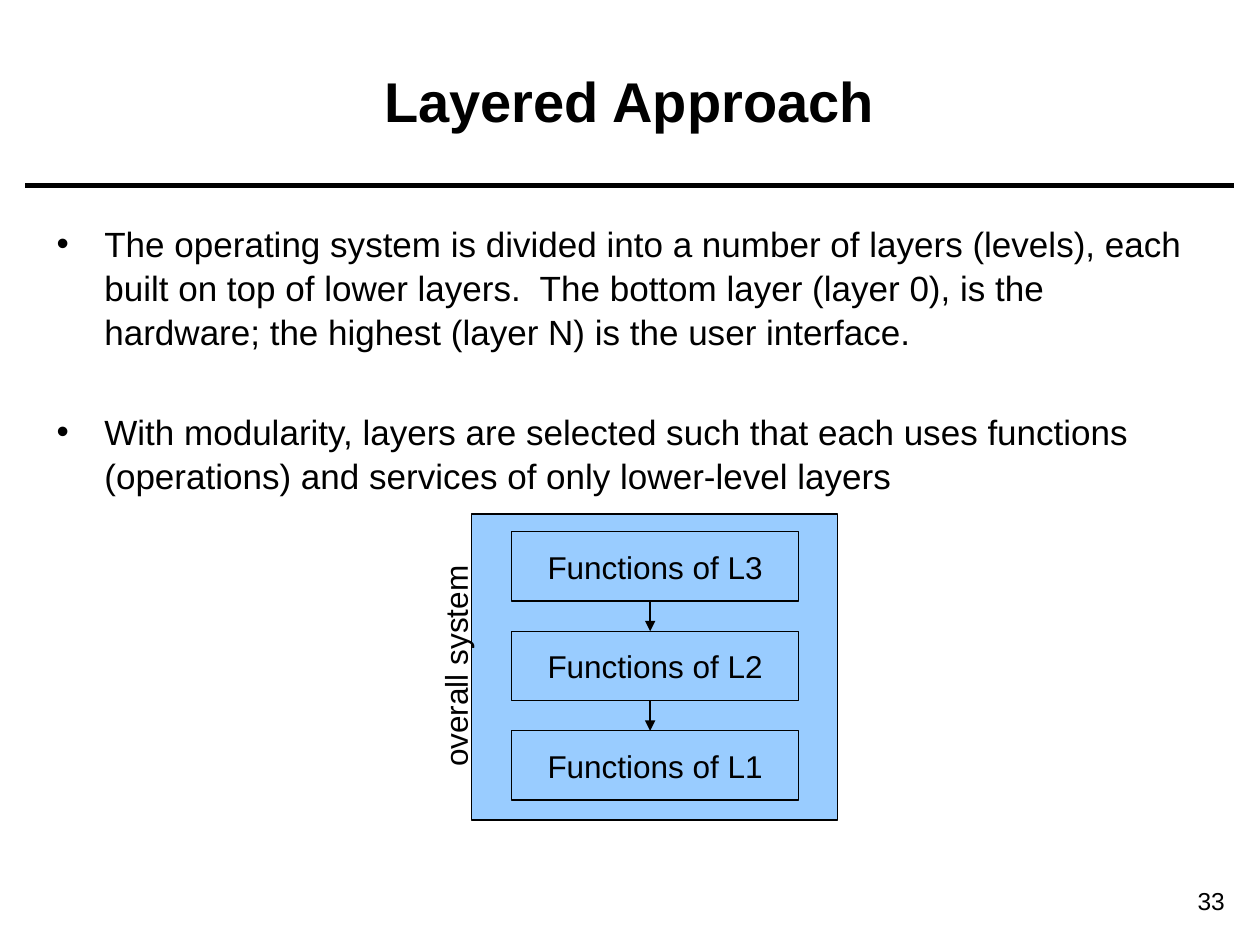
from lxml.etree import SubElement
from pptx import Presentation
from pptx.dml.color import RGBColor
from pptx.enum.shapes import MSO_CONNECTOR, MSO_SHAPE
from pptx.enum.text import MSO_ANCHOR, PP_ALIGN
from pptx.oxml.ns import qn
from pptx.util import Inches, Pt

BLACK = RGBColor(0x00, 0x00, 0x00)
WHITE = RGBColor(0xFF, 0xFF, 0xFF)
LAYER_BLUE = RGBColor(0x99, 0xCC, 0xFF)

BULLETS = [
    "The operating system is divided into a number of layers (levels), each built on top of "
    "lower layers.  The bottom layer (layer 0), is the hardware; the highest (layer N) is the "
    "user interface.",
    "With modularity, layers are selected such that each uses functions (operations) and "
    "services of only lower-level layers",
]
LAYERS = ["Functions of L3", "Functions of L2", "Functions of L1"]


def format_paragraph(paragraph, size, alignment=PP_ALIGN.LEFT, bold=False):
    paragraph.alignment = alignment
    paragraph.font.name = "Arial"
    paragraph.font.size = Pt(size)
    paragraph.font.bold = bold
    paragraph.font.color.rgb = BLACK


def add_text(slide, left, top, width, height, text, size, alignment=PP_ALIGN.LEFT, bold=False):
    shape = slide.shapes.add_textbox(Inches(left), Inches(top), Inches(width), Inches(height))
    shape.text_frame.word_wrap = True
    shape.text_frame.text = text
    format_paragraph(shape.text_frame.paragraphs[0], size, alignment, bold)
    return shape


def add_box(slide, left, top, width, height):
    shape = slide.shapes.add_shape(
        MSO_SHAPE.RECTANGLE, Inches(left), Inches(top), Inches(width), Inches(height))
    shape.shadow.inherit = False
    shape.fill.solid()
    shape.fill.fore_color.rgb = LAYER_BLUE
    shape.line.color.rgb = BLACK
    shape.line.width = Pt(0.75)
    return shape


def add_line(slide, start_x, start_y, end_x, end_y, width, arrow=False):
    connector = slide.shapes.add_connector(
        MSO_CONNECTOR.STRAIGHT, Inches(start_x), Inches(start_y), Inches(end_x), Inches(end_y))
    connector.line.color.rgb = BLACK
    connector.line.width = Pt(width)
    if arrow:
        SubElement(connector.line._get_or_add_ln(), qn("a:tailEnd"), type="triangle")
    SubElement(connector._element.spPr, qn("a:effectLst"))


def add_header(slide, left, top, width, height):
    title = add_text(slide, left, top, width, height, "Layered Approach", 32,
                     PP_ALIGN.CENTER, True)
    title.text_frame.vertical_anchor = MSO_ANCHOR.MIDDLE
    rule_y = top + height + 0.05
    add_line(slide, left - 0.15, rule_y, left + width + 0.15, rule_y, 3)


def add_bullets(slide, left, top, width, height):
    body = add_text(slide, left, top, width, height, "\n".join(BULLETS), 20)
    for index, paragraph in enumerate(body.text_frame.paragraphs):
        properties = paragraph._p.get_or_add_pPr()
        properties.set("marL", str(Inches(0.38)))
        properties.set("indent", str(Inches(-0.38)))
        SubElement(properties, qn("a:buFont"), typeface="Arial")
        SubElement(properties, qn("a:buChar"), char="•")
        format_paragraph(paragraph, 20)
        paragraph.line_spacing = 1.05
        paragraph.space_before = Pt(32 if index else 0)


def add_layer_diagram(slide, left, top, width, height):
    add_box(slide, left, top, width, height)
    box_left, box_width, box_height, pitch = left + 0.32, 2.28, 0.55, 0.79
    arrow_x = left + 1.42
    for index, name in enumerate(LAYERS):
        box_top = top + 0.14 + index * pitch
        box = add_box(slide, box_left, box_top, box_width, box_height)
        box.text_frame.word_wrap = False
        box.text_frame.vertical_anchor = MSO_ANCHOR.MIDDLE
        box.text_frame.text = name
        format_paragraph(box.text_frame.paragraphs[0], 18, PP_ALIGN.CENTER)
        if index:
            add_line(slide, arrow_x, box_top - pitch + box_height, arrow_x, box_top, 0.75, True)
    label = add_text(slide, left - 1.11, top + 0.92, 1.97, 0.4, "overall system", 18)
    label.rotation = 270


def add_slide_number(slide, left, top, width, height):
    add_text(slide, left, top, width, height, "33", 14, PP_ALIGN.RIGHT)


def main():
    presentation = Presentation()
    presentation.slide_width = Inches(10)
    presentation.slide_height = Inches(7.5)
    slide = presentation.slides.add_slide(presentation.slide_layouts[6])
    slide.background.fill.solid()
    slide.background.fill.fore_color.rgb = WHITE
    add_header(slide, 0.35, 0.17, 9.29, 1.25)
    add_bullets(slide, 0.35, 1.7, 9.29, 5.12)
    add_layer_diagram(slide, 3.74, 4.08, 2.91, 2.43)
    add_slide_number(slide, 8.78, 6.98, 1.04, 0.34)
    presentation.save("out.pptx")


if __name__ == "__main__":
    main()
